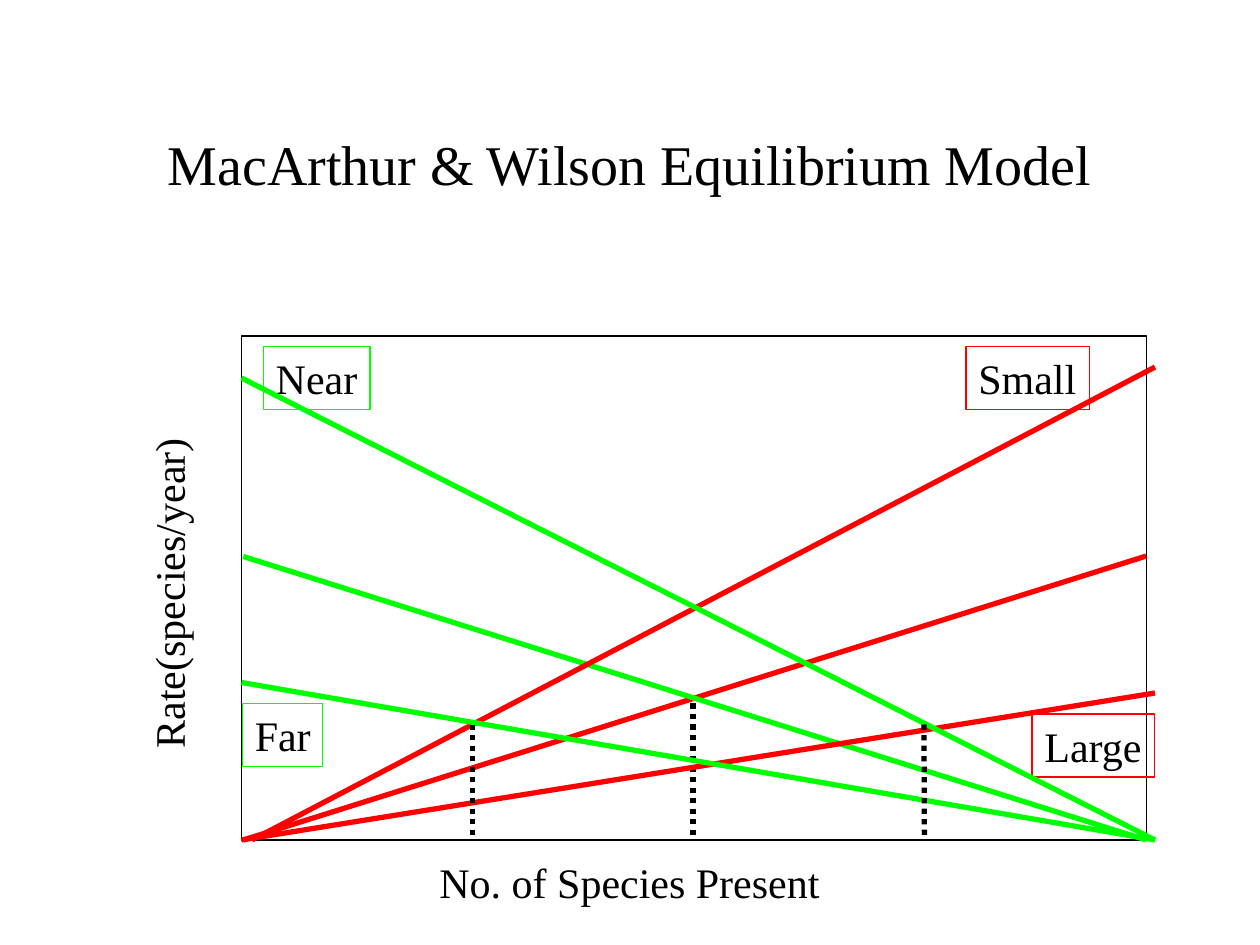
from pptx import Presentation
from pptx.dml.color import RGBColor
from pptx.enum.dml import MSO_LINE
from pptx.enum.shapes import MSO_CONNECTOR, MSO_SHAPE
from pptx.enum.text import MSO_ANCHOR, PP_ALIGN
from pptx.oxml.ns import qn
from pptx.util import Pt
from lxml import etree

BLACK, RED, GREEN = "000000", "FF0000", "00FF00"


def color(hex_string):
    return RGBColor.from_string(hex_string)


def write(shape, text, size, alignment, anchor=MSO_ANCHOR.TOP, wrap=False):
    frame = shape.text_frame
    frame.word_wrap = wrap
    frame.vertical_anchor = anchor
    frame.margin_left = frame.margin_right = Pt(7.2)
    frame.margin_top = frame.margin_bottom = Pt(3.6)
    paragraph = frame.paragraphs[0]
    paragraph.alignment = alignment
    run = paragraph.add_run()
    run.text = text
    run.font.name = "Times New Roman"
    run.font.size = Pt(size)
    run.font.color.rgb = color(BLACK)
    return frame


presentation = Presentation()
presentation.slide_width = Pt(720)
presentation.slide_height = Pt(540)
slide = presentation.slides.add_slide(presentation.slide_layouts[5])
shapes = slide.shapes

# Title
title = shapes.title
title.left, title.top, title.width, title.height = Pt(54), Pt(48), Pt(612), Pt(90)
write(title, "MacArthur & Wilson Equilibrium Model", 32, PP_ALIGN.CENTER,
      MSO_ANCHOR.MIDDLE, True)

# Plot frame and curve labels: text, left, top, width, height, line colour
boxes = [
    ("", 138, 192, 517, 288, BLACK),
    ("Near", 150.5, 198, 61, 36, GREEN),
    ("Far", 138.5, 402, 46, 36, GREEN),
    ("Small", 552, 198, 70.5, 36, RED),
    ("Large", 589.75, 408, 70, 36, RED),
]
for text, left, top, width, height, line_color in boxes:
    box = shapes.add_shape(MSO_SHAPE.RECTANGLE, Pt(left), Pt(top), Pt(width), Pt(height))
    box.shadow.inherit = False
    box.fill.background()
    box.line.color.rgb = color(line_color)
    box.line.width = Pt(0.75)
    if text:
        write(box, text, 24, PP_ALIGN.LEFT)

# Extinction (red), immigration (green) and equilibrium (dotted) lines
baseline = 480
lines = [
    (139, baseline, 655, 317.75, RED),
    (139, 318, 655, baseline, GREEN),
    (396, 402, 396, baseline, BLACK),
    (144, baseline, 660, 209.75, RED),
    (138, baseline, 660, 396, RED),
    (138, 216, 660, baseline, GREEN),
    (138, 390, 660, baseline, GREEN),
    (270, 414, 270, baseline, BLACK),
    (528, 414, 528.25, baseline, BLACK),
]
for x1, y1, x2, y2, line_color in lines:
    line = shapes.add_connector(MSO_CONNECTOR.STRAIGHT, Pt(x1), Pt(y1), Pt(x2), Pt(y2))
    line.line.color.rgb = color(line_color)
    line.line.width = Pt(3)
    if line_color == BLACK:
        line.line.dash_style = MSO_LINE.ROUND_DOT
    etree.SubElement(line._element.spPr, qn("a:effectLst"))

# Axis titles
x_title = shapes.add_textbox(Pt(244), Pt(486), Pt(232), Pt(36))
write(x_title, "No. of Species Present", 24, PP_ALIGN.LEFT)

y_title = shapes.add_textbox(Pt(78), Pt(198), Pt(43), Pt(282))
frame = write(y_title, "Rate(species/year)", 24, PP_ALIGN.CENTER, wrap=True)
frame.margin_left = frame.margin_right = Pt(3.6)
frame.margin_top = frame.margin_bottom = Pt(7.2)
frame._txBody.bodyPr.set("vert", "vert270")

presentation.save("out.pptx")
